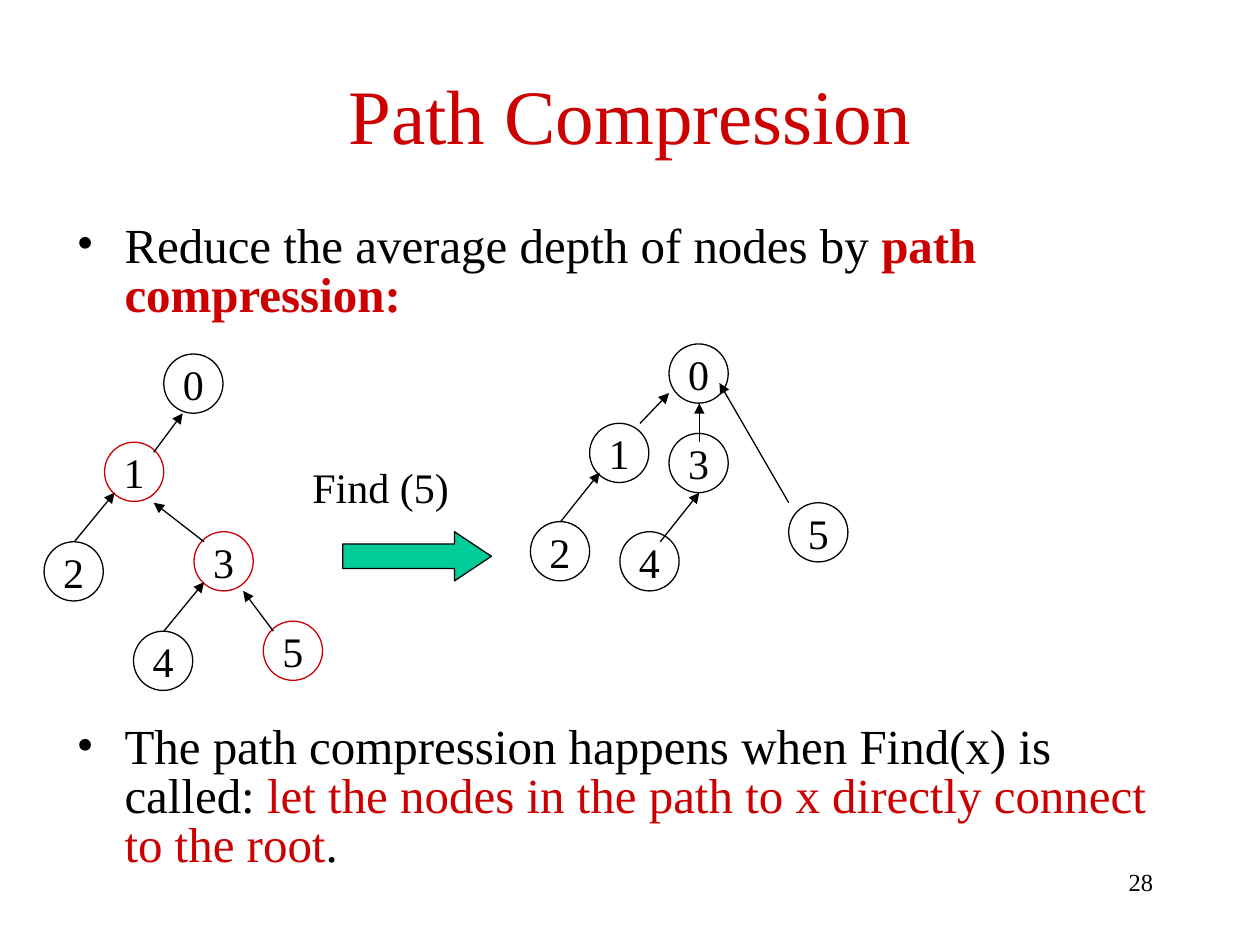
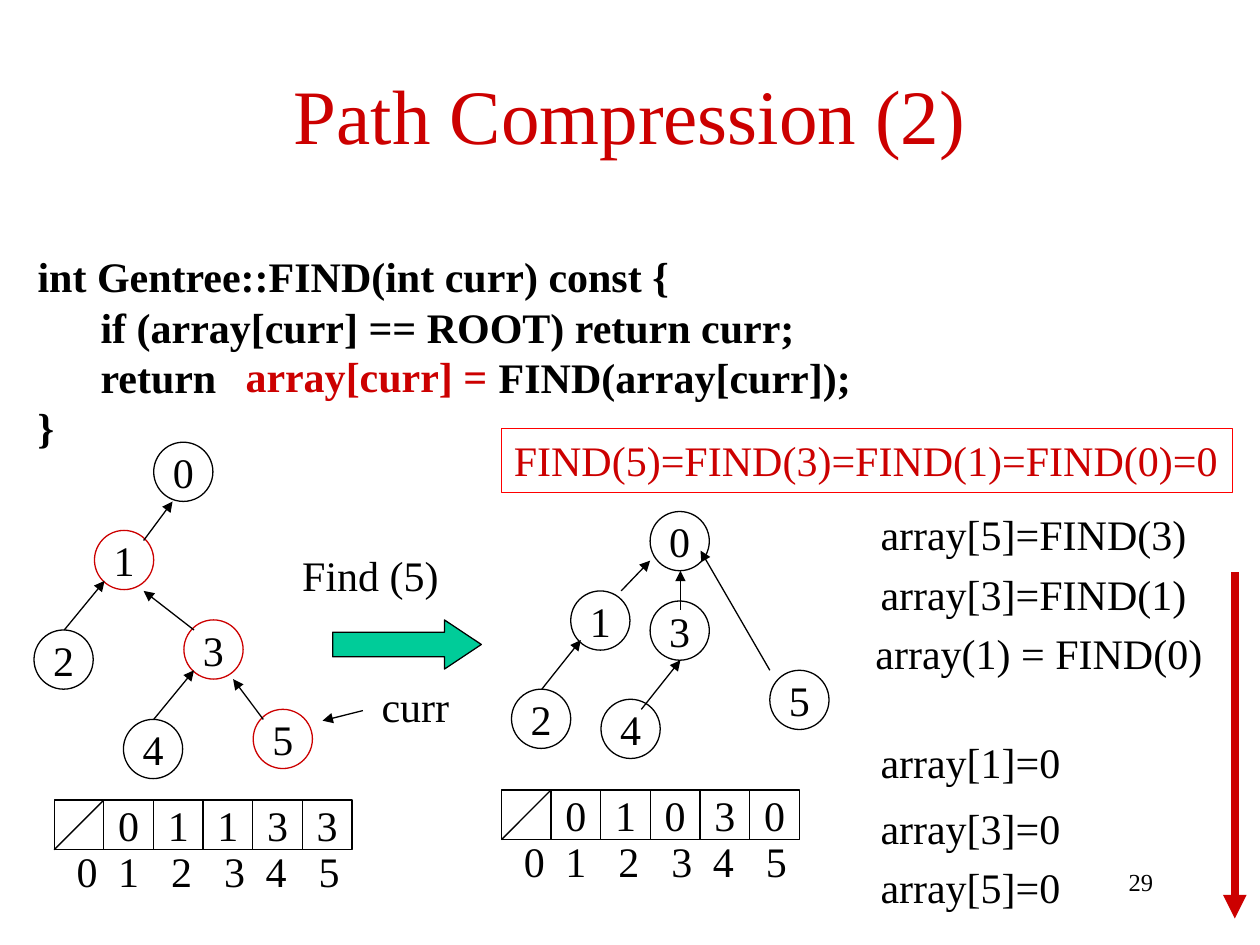
"""Builds two slides on path compression in union-find trees."""
import pptx
import pptx.util
import pptx.dml.color
import pptx.enum.shapes
import pptx.enum.text
import pptx.oxml
import pptx.oxml.ns
import lxml.etree

Inches = pptx.util.Inches
Pt = pptx.util.Pt
RGB = pptx.dml.color.RGBColor.from_string
Kind = pptx.enum.shapes.MSO_SHAPE
Align = pptx.enum.text.PP_ALIGN
Anchor = pptx.enum.text.MSO_ANCHOR
qn = pptx.oxml.ns.qn

HUES = {"ink": "000000", "red": "CC0000", "frame": "FF0000", "green": "00CC99"}
FONT = "Times New Roman"
SIDE = 0.47
CELL = 0.394

LEFT = {
    "nodes": [(0, 0, "ink"), (-0.47, 0.7, "red"), (-0.95, 1.49, "ink"),
              (0.24, 1.41, "red"), (-0.24, 2.2, "ink"), (0.79, 2.12, "red")],
    "links": [(-0.08, 0.78, 0.15, 0.47), (-0.71, 1.49, -0.39, 1.1),
              (0.32, 1.49, -0.08, 1.18), (0, 2.2, 0.32, 1.81),
              (0.87, 2.2, 0.63, 1.88)],
}
RIGHT = {
    "nodes": [(0, 0, "ink"), (-0.63, 0.63, "ink"), (-1.1, 1.41, "ink"),
              (0, 0.71, "ink"), (-0.39, 1.49, "ink"), (0.95, 1.26, "ink")],
    "links": [(-0.23, 0.63, 0, 0.39), (-0.86, 1.41, -0.55, 1.02),
              (0.24, 0.78, 0.24, 0.47), (-0.07, 1.57, 0.24, 1.18),
              (0.95, 1.26, 0.4, 0.31)],
}


def write(page, text, box, kind=None, size=24, hue="ink", bold=False, align=None,
          mid=False, wrap=False, line=None, fill=None, accent=None, strong=False,
          bullet=False, space=None, tabs=()):
    """Place text in a title, a text box or a shape; a bar switches to the accent hue."""
    place = [Inches(v) for v in box]
    if kind == "title":
        item = page.shapes.title
        item.left, item.top, item.width, item.height = place
    elif kind is None:
        item = page.shapes.add_textbox(*place)
    else:
        item = page.shapes.add_shape(kind, *place)
        item.shadow.inherit = False
        item.line.color.rgb = RGB(HUES[line])
        item.line.width = Pt(0.75)
        if fill:
            item.fill.solid()
            item.fill.fore_color.rgb = RGB(HUES[fill])
        else:
            item.fill.background()
    if not text:
        return item
    frame = item.text_frame
    frame.word_wrap = wrap
    frame.vertical_anchor = Anchor.MIDDLE if mid else Anchor.TOP
    for row, words in enumerate(text.split("\n")):
        para = frame.add_paragraph() if row else frame.paragraphs[0]
        para.alignment = align or Align.LEFT
        if space:
            para.line_spacing = space
        props = para._p.get_or_add_pPr()
        if bullet:
            props.set("marL", str(Inches(0.38)))
            props.set("indent", str(-Inches(0.38)))
            lxml.etree.SubElement(props, qn("a:buFont")).set("typeface", FONT)
            lxml.etree.SubElement(props, qn("a:buChar")).set("char", "•")
        if tabs:
            stops = lxml.etree.SubElement(props, qn("a:tabLst"))
            for stop in tabs:
                tab = lxml.etree.SubElement(stops, qn("a:tab"))
                tab.set("pos", str(Inches(stop)))
                tab.set("algn", "l")
        for part, words in enumerate(words.split("|")):
            run = para.add_run()
            run.text = words
            run.font.name = FONT
            run.font.size = Pt(size)
            run.font.bold = bold or (strong and part % 2 == 1)
            run.font.color.rgb = RGB(HUES[accent if part % 2 else hue])
    return item


def link(page, ends, hue="ink", width=0.75, head=True):
    """Draw a straight line, with an arrowhead at its end if asked."""
    wire = page.shapes.add_connector(
        pptx.enum.shapes.MSO_CONNECTOR.STRAIGHT, *[Inches(v) for v in ends])
    wire.line.color.rgb = RGB(HUES[hue])
    wire.line.width = Pt(width)
    if head:
        tip = lxml.etree.SubElement(wire.line._get_or_add_ln(), qn("a:tailEnd"))
        tip.set("type", "triangle")
    lxml.etree.SubElement(wire._element.spPr, qn("a:effectLst"))


deck = pptx.Presentation()
deck.slide_width, deck.slide_height = Inches(10), Inches(7.5)

pages = []
for title, number, left, right in [
        ("Path Compression", "28", (1.3, 2.81), (5.31, 2.73)),
        ("Path Compression (2)", "29", (1.22, 3.51), (5.16, 4.06))]:
    page = deck.slides.add_slide(deck.slide_layouts[5])
    pages.append(page)
    write(page, title, (0.5, 0.4, 9, 1), kind="title", size=44, hue="red",
          align=Align.CENTER, mid=True, wrap=True)
    for tree, (x, y) in [(LEFT, left), (RIGHT, right)]:
        for name, (dx, dy, hue) in enumerate(tree["nodes"]):
            write(page, str(name), (x + dx, y + dy, SIDE, SIDE), kind=Kind.OVAL,
                  line=hue, align=Align.CENTER, mid=True)
        for x1, y1, x2, y2 in tree["links"]:
            link(page, (x + x1, y + y1, x + x2, y + y2))
    x, y = left
    arrow = write(page, "", (x + 1.42, y + 1.41, 1.18, 0.39),
                  kind=Kind.RIGHT_ARROW, line="ink", fill="green")
    arrow.adjustments[0], arrow.adjustments[1] = 0.5, 0.75
    write(page, "Find (5)", (x + 1.08, y + 0.8, 1.28, 0.5))
    write(page, number, (7.17, 6.83, 2.08, 0.5), size=14, align=Align.RIGHT, wrap=True)

idea, code = pages

for text, top, high, strong in [
        ("Reduce the average depth of nodes by |path compression:", 1.73, 0.9, True),
        ("The path compression happens when Find(x) is called: "
         "|let the nodes in the path to x directly connect to the root|.",
         5.71, 1.3, False)]:
    write(idea, text, (0.51, top, 8.98, high), size=28, accent="red", strong=strong,
          bullet=True, space=0.83, wrap=True)

write(code, "int Gentree::FIND(int curr) const {\n"
            "\tif (array[curr] == ROOT) return curr;\n"
            "\treturn\tFIND(array[curr]);\n"
            "}",
      (0.2, 1.94, 9.53, 1.7), bold=True, wrap=True, tabs=(0.5, 3.66))
write(code, "array[curr] =", (1.85, 2.73, 2.12, 0.5), hue="red", bold=True)
write(code, "FIND(5)=FIND(3)=FIND(1)=FIND(0)=0", (3.98, 3.4, 5.8, 0.51),
      kind=Kind.RECTANGLE, line="frame", hue="red")

for text, x, y, wide in [
        ("array[5]=FIND(3)", 6.89, 3.99, 2.63),
        ("array[3]=FIND(1)", 6.89, 4.46, 2.63),
        ("array(1) = FIND(0)", 6.85, 4.93, 2.8),
        ("array[1]=0", 6.89, 5.8, 1.63),
        ("array[3]=0", 6.89, 6.32, 1.63),
        ("array[5]=0", 6.89, 6.79, 1.63),
        ("curr", 2.93, 5.35, 0.74)]:
    write(code, text, (x, y, wide, 0.5))
link(code, (2.88, 5.64, 2.56, 5.72))
link(code, (9.8, 4.54, 9.8, 7.29), hue="red", width=4.5)

for x, y, roots in [(0.43, 6.35, " 01133"), (3.98, 6.27, " 01030")]:
    for spot, root in enumerate(roots):
        write(code, root.strip(), (x + spot * CELL, y, CELL, CELL),
              kind=Kind.RECTANGLE, line="ink", align=Align.CENTER, mid=True)
    link(code, (x, y + CELL, x + CELL, y), head=False)
    write(code, "0\t1\t2\t3\t4\t5", (x + 0.08, y + 0.31, 2.37, 0.5), wrap=True,
          tabs=(0.33, 0.75, 1.17, 1.5, 1.92))

deck.save("out.pptx")
